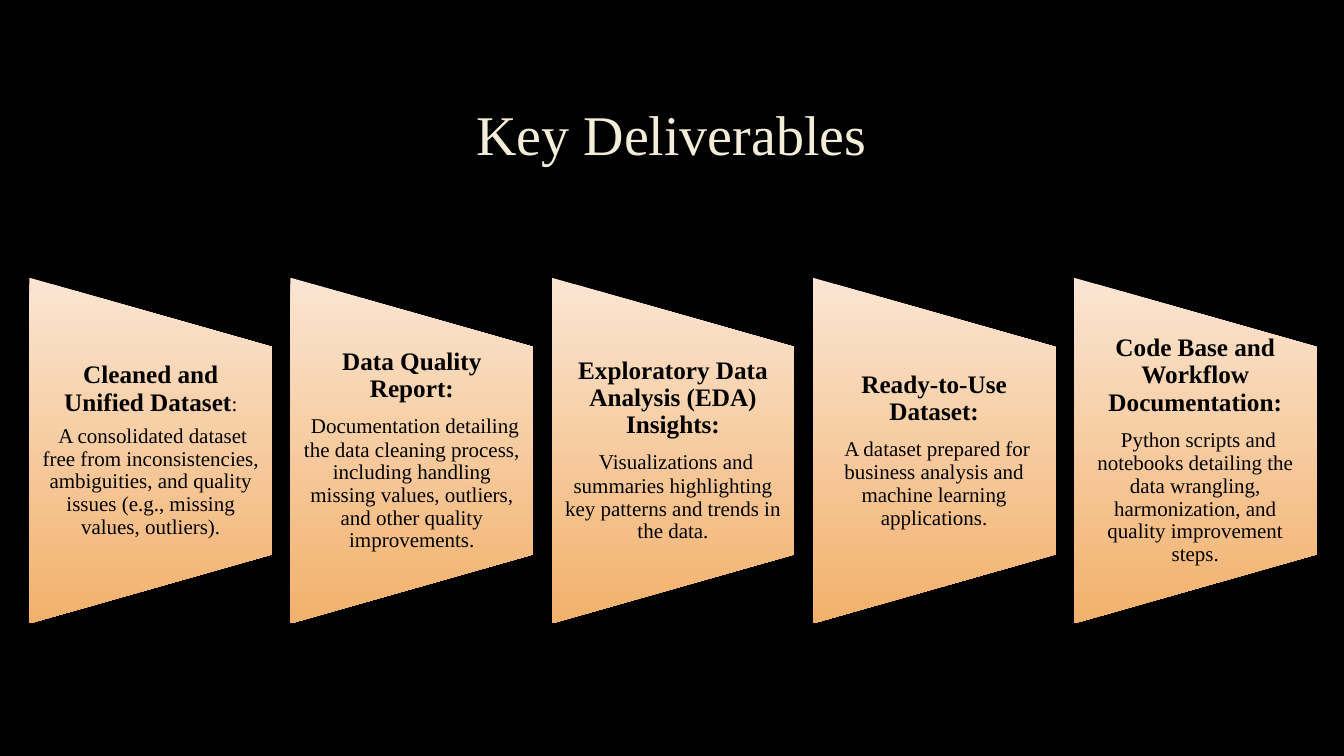
from lxml.etree import SubElement
from pptx import Presentation
from pptx.dml.color import RGBColor
from pptx.enum.shapes import MSO_SHAPE as Shape
from pptx.enum.text import MSO_ANCHOR as Anchor, PP_ALIGN as Align
from pptx.oxml import parse_xml
from pptx.oxml.ns import nsdecls, qn
from pptx.util import Inches, Pt

BLACK = RGBColor(0x00, 0x00, 0x00)
CREAM = RGBColor(0xF4, 0xED, 0xD8)
PEACH = RGBColor(0xFA, 0xE5, 0xD3)
ORANGE = RGBColor(0xF2, 0xB1, 0x6B)
FONT = "Times New Roman"

# Card grid, in inches
FIRST_LEFT, PITCH = 0.29, 2.59
CARD_WIDTH, CARD_HEIGHT = 2.41, 3.43
CARD_MIDDLE = 4.47
TEXT_HEIGHT = 2.06
HEADING, BODY = 18, 15

# Each card: heading, colon after it, size of the body's leading space, body
CARDS = [
    ("Cleaned and Unified Dataset", BODY,
     "A consolidated dataset free from inconsistencies, ambiguities, "
     "and quality issues (e.g., missing values, outliers)."),
    ("Data Quality Report:", HEADING,
     "Documentation detailing the data cleaning process, including handling "
     "missing values, outliers, and other quality improvements."),
    ("Exploratory Data Analysis (EDA) Insights:", HEADING,
     "Visualizations and summaries highlighting key patterns and trends in the data."),
    ("Ready-to-Use Dataset:", HEADING,
     "A dataset prepared for business analysis and machine learning applications."),
    ("Code Base and Workflow Documentation:", HEADING,
     "Python scripts and notebooks detailing the data wrangling, harmonization, "
     "and quality improvement steps."),
]


def add_text(paragraph, text, size=BODY, bold=False, color=BLACK):
    paragraph.alignment = Align.CENTER
    paragraph.line_spacing = 0.9
    run = paragraph.add_run()
    run.text = text
    run.font.name = FONT
    run.font.size = Pt(size)
    run.font.bold = bold
    run.font.color.rgb = color
    return run


def space_after(paragraph, percent):
    spacing = SubElement(paragraph._p.get_or_add_pPr(), qn("a:spcAft"))
    SubElement(spacing, qn("a:spcPct")).set("val", str(percent * 1000))


def add_title(slide, text):
    title = slide.shapes.title
    title.left, title.top = Inches(1), Inches(0.67)
    title.width, title.height = Inches(11.32), Inches(1.38)
    title.text_frame.vertical_anchor = Anchor.MIDDLE
    run = add_text(title.text_frame.paragraphs[0], text, size=40, color=CREAM)
    # Faint outline around the letters
    run.font._element.insert(0, parse_xml(
        f'<a:ln {nsdecls("a")} w="9525"><a:solidFill><a:srgbClr val="404040">'
        '<a:alpha val="10000"/></a:srgbClr></a:solidFill></a:ln>'))


def add_panel(slide, center):
    """Trapezoid turned a quarter, so its width and height swap."""
    panel = slide.shapes.add_shape(
        Shape.FLOWCHART_MANUAL_OPERATION,
        Inches(center - CARD_HEIGHT / 2), Inches(CARD_MIDDLE - CARD_WIDTH / 2),
        Inches(CARD_HEIGHT), Inches(CARD_WIDTH))
    panel.rotation = 270
    panel.shadow.inherit = False
    panel.line.fill.background()
    panel.fill.gradient()
    panel.fill.gradient_angle = 270
    for stop, color, position in zip(panel.fill.gradient_stops, (PEACH, ORANGE), (0, 1)):
        stop.color.rgb = color
        stop.position = position
    # The gradient stays vertical while the shape turns
    panel._element.spPr.find(qn("a:gradFill")).set("rotWithShape", "0")


def add_card(slide, left, heading, gap_size, body):
    add_panel(slide, left + CARD_WIDTH / 2)
    box = slide.shapes.add_textbox(
        Inches(left), Inches(CARD_MIDDLE - TEXT_HEIGHT / 2),
        Inches(CARD_WIDTH), Inches(TEXT_HEIGHT))
    frame = box.text_frame
    frame.word_wrap = True
    frame.vertical_anchor = Anchor.MIDDLE
    frame.margin_left = frame.margin_right = Inches(0.12)
    frame.margin_top = frame.margin_bottom = 0

    first, second = frame.paragraphs[0], frame.add_paragraph()
    add_text(first, heading, size=HEADING, bold=True)
    if not heading.endswith(":"):
        add_text(first, ":")
    add_text(second, " ", size=gap_size, bold=gap_size == HEADING)
    add_text(second, body)
    for paragraph in (first, second):
        space_after(paragraph, 35)


def main():
    presentation = Presentation()
    presentation.slide_width = Inches(13.33)
    presentation.slide_height = Inches(7.5)
    slide = presentation.slides.add_slide(presentation.slide_layouts[5])
    slide.background.fill.solid()
    slide.background.fill.fore_color.rgb = BLACK

    add_title(slide, "Key Deliverables")
    for column, card in enumerate(CARDS):
        add_card(slide, FIRST_LEFT + column * PITCH, *card)

    presentation.save("out.pptx")


if __name__ == "__main__":
    main()
